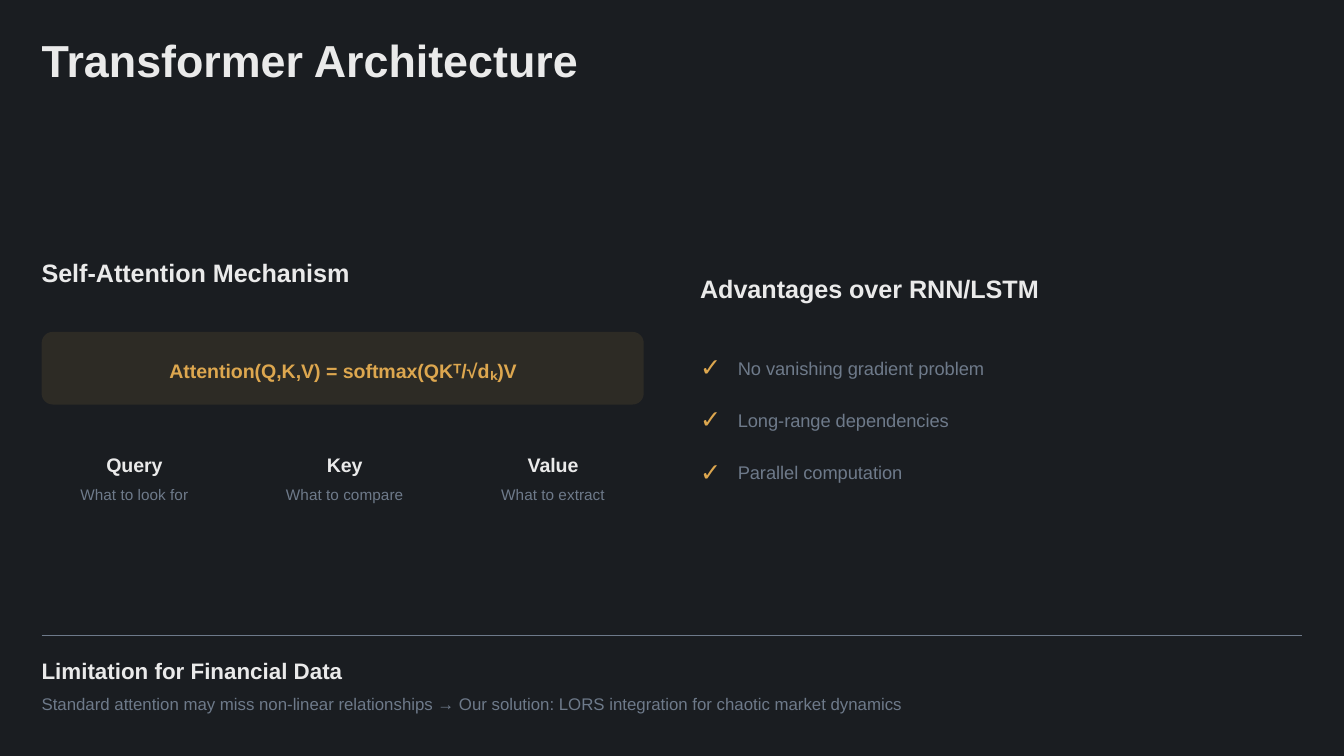
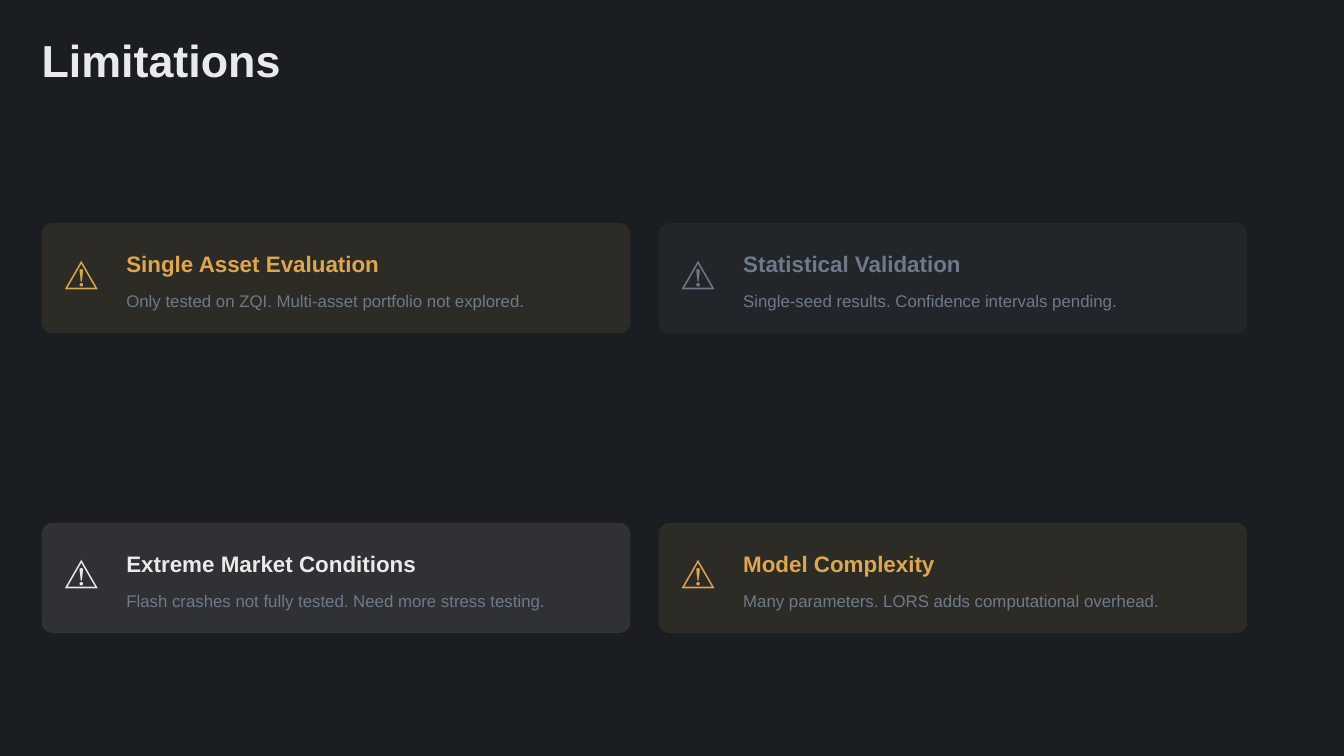
"""Two dark slides: transformer architecture and study limitations."""
from lxml.etree import SubElement
from pptx import Presentation
from pptx.dml.color import RGBColor
from pptx.enum.shapes import MSO_CONNECTOR as Connector, MSO_SHAPE as Shape
from pptx.enum.text import MSO_ANCHOR as Anchor, MSO_AUTO_SIZE as AutoSize, PP_ALIGN as Align
from pptx.oxml.ns import qn
from pptx.util import Inches, Pt

FONT = "Arial"
BACKGROUND, LIGHT, AMBER, SLATE = "1A1D21", "EAEAEA", "DDA74F", "6E7A8A"
MARGIN = 0.31
LEADING = 1.4
CONTENT_LAYOUT, TITLE_LAYOUT = 1, 5

ROLES = [
    ("Query", "What to look for", 0.82),
    ("Key", "What to compare", 0.89),
    ("Value", "What to extract", 0.79),
]
ADVANTAGES = ["No vanishing gradient problem", "Long-range dependencies", "Parallel computation"]
LIMITATIONS = [
    ("Single Asset Evaluation", "Only tested on ZQI. Multi-asset portfolio not explored.", AMBER),
    ("Statistical Validation", "Single-seed results. Confidence intervals pending.", SLATE),
    ("Extreme Market Conditions", "Flash crashes not fully tested. Need more stress testing.", LIGHT),
    ("Model Complexity", "Many parameters. LORS adds computational overhead.", AMBER),
]


def rgb(value):
    return RGBColor.from_string(value)


def place(shape, left, top, width, height):
    shape.left, shape.top = Inches(left), Inches(top)
    shape.width, shape.height = Inches(width), Inches(height)


def prepare_frame(frame):
    frame.margin_left = frame.margin_right = frame.margin_top = frame.margin_bottom = 0
    frame.vertical_anchor = Anchor.TOP
    frame.auto_size = AutoSize.NONE
    frame.word_wrap = True


def format_para(para, size, color, bold=False, align=Align.LEFT, leading=LEADING, before=0, after=0):
    para.alignment = align
    para.line_spacing = Pt(size * leading)
    para.space_before, para.space_after = Pt(before), Pt(after)
    for span in para.runs:
        span.font.name, span.font.size, span.font.bold = FONT, Pt(size), bold
        span.font.color.rgb = rgb(color)


def add_text(page, text, bounds, size, color, **style):
    box = page.shapes.add_textbox(*map(Inches, bounds))
    prepare_frame(box.text_frame)
    box.text_frame.text = text
    format_para(box.text_frame.paragraphs[0], size, color, **style)


def add_panel(page, left, top, width, height, color):
    """Add a rounded panel tinted with a 10 % wash of the colour."""
    panel = page.shapes.add_shape(Shape.ROUNDED_RECTANGLE, *map(Inches, (left, top, width, height)))
    panel.adjustments[0] = 0.083 / height
    panel.shadow.inherit = False
    panel.line.fill.background()
    panel.fill.solid()
    panel.fill.fore_color.rgb = rgb(color)
    tint = panel.fill._xPr.find(qn("a:solidFill")).find(qn("a:srgbClr"))
    SubElement(tint, qn("a:alpha"), val="10000")


def add_rule(page, top):
    left, right, height = Inches(MARGIN), Inches(10 - MARGIN), Inches(top)
    rule = page.shapes.add_connector(Connector.STRAIGHT, left, height, right, height)
    rule.line.color.rgb = rgb(SLATE)
    rule.line.width = Pt(0.75)
    SubElement(rule._element.spPr, qn("a:effectLst"))


def add_check_bullet(para, indent):
    properties = para._p.get_or_add_pPr()
    properties.set("marL", str(Inches(indent)))
    properties.set("indent", str(-Inches(indent)))
    SubElement(SubElement(properties, qn("a:buClr")), qn("a:srgbClr"), val=AMBER)
    SubElement(properties, qn("a:buSzPct"), val="138000")
    SubElement(properties, qn("a:buFont"), typeface=FONT)
    SubElement(properties, qn("a:buChar"), char="✓")


def add_checklist(body, items, bounds):
    """Fill the body placeholder with check-marked lines."""
    place(body, *bounds)
    prepare_frame(body.text_frame)
    body.text_frame.text = "\n".join(items)
    for para in body.text_frame.paragraphs:
        format_para(para, 9.75, SLATE, after=14.35)
        add_check_bullet(para, 0.28)


def add_page(deck, layout, title):
    page = deck.slides.add_slide(deck.slide_layouts[layout])
    heading = page.shapes.title
    place(heading, MARGIN, 0.31, 4.79, 0.33)
    prepare_frame(heading.text_frame)
    heading.text_frame.text = title
    format_para(heading.text_frame.paragraphs[0], 24, LIGHT, bold=True, leading=1)
    return page


def add_roles(page):
    left = 0.59
    for name, purpose, width in ROLES:
        add_text(page, name, (left, 3.34, width, 0.2), 10.5, LIGHT, bold=True, align=Align.CENTER)
        add_text(page, purpose, (left, 3.59, width, 0.16), 8.25, SLATE, align=Align.CENTER, before=3)
        left += width + 0.71


def add_limitation(page, left, top, title, detail, color):
    add_panel(page, left, top, 4.38, 0.82, color)
    add_text(page, "⚠️", (left + 0.17, top + 0.17, 0.32, 0.35), 18, color)
    add_text(page, title, (left + 0.63, top + 0.17, 3.17, 0.23), 12, color, bold=True)
    add_text(page, detail, (left + 0.63, top + 0.48, 3.17, 0.17), 9, SLATE, before=6)


def build_architecture(deck):
    page = add_page(deck, CONTENT_LAYOUT, "Transformer Architecture")
    add_text(page, "Self-Attention Mechanism", (MARGIN, 1.88, 4.57, 0.26), 13.5, LIGHT, bold=True, after=12)
    add_panel(page, MARGIN, 2.47, 4.48, 0.54, AMBER)
    add_text(page, "Attention(Q,K,V) = softmax(QKᵀ/√dₖ)V", (0.44, 2.64, 4.23, 0.2), 10.5, AMBER,
             bold=True, align=Align.CENTER)
    add_roles(page)
    add_text(page, "Advantages over RNN/LSTM", (5.21, 2, 4.57, 0.26), 13.5, LIGHT, bold=True, after=12)
    add_checklist(page.placeholders[1], ADVANTAGES, (5.21, 2.63, 2.15, 0.97))
    add_rule(page, 4.73)
    add_text(page, "Limitation for Financial Data", (MARGIN, 4.86, 9.56, 0.23), 12, LIGHT, bold=True, after=3)
    add_text(page, "Standard attention may miss non-linear relationships → "
             "Our solution: LORS integration for chaotic market dynamics",
             (MARGIN, 5.14, 9.56, 0.17), 9, SLATE)


def build_limitations(deck):
    page = add_page(deck, TITLE_LAYOUT, "Limitations")
    for index, limitation in enumerate(LIMITATIONS):
        row, column = divmod(index, 2)
        add_limitation(page, MARGIN + 4.59 * column, 1.66 + 2.23 * row, *limitation)


def main():
    deck = Presentation()
    deck.slide_width = Inches(10)
    deck.slide_height = deck.slide_width * 9 // 16
    backdrop = deck.slide_master.background.fill
    backdrop.solid()
    backdrop.fore_color.rgb = rgb(BACKGROUND)
    build_architecture(deck)
    build_limitations(deck)
    deck.save("out.pptx")


if __name__ == "__main__":
    main()
